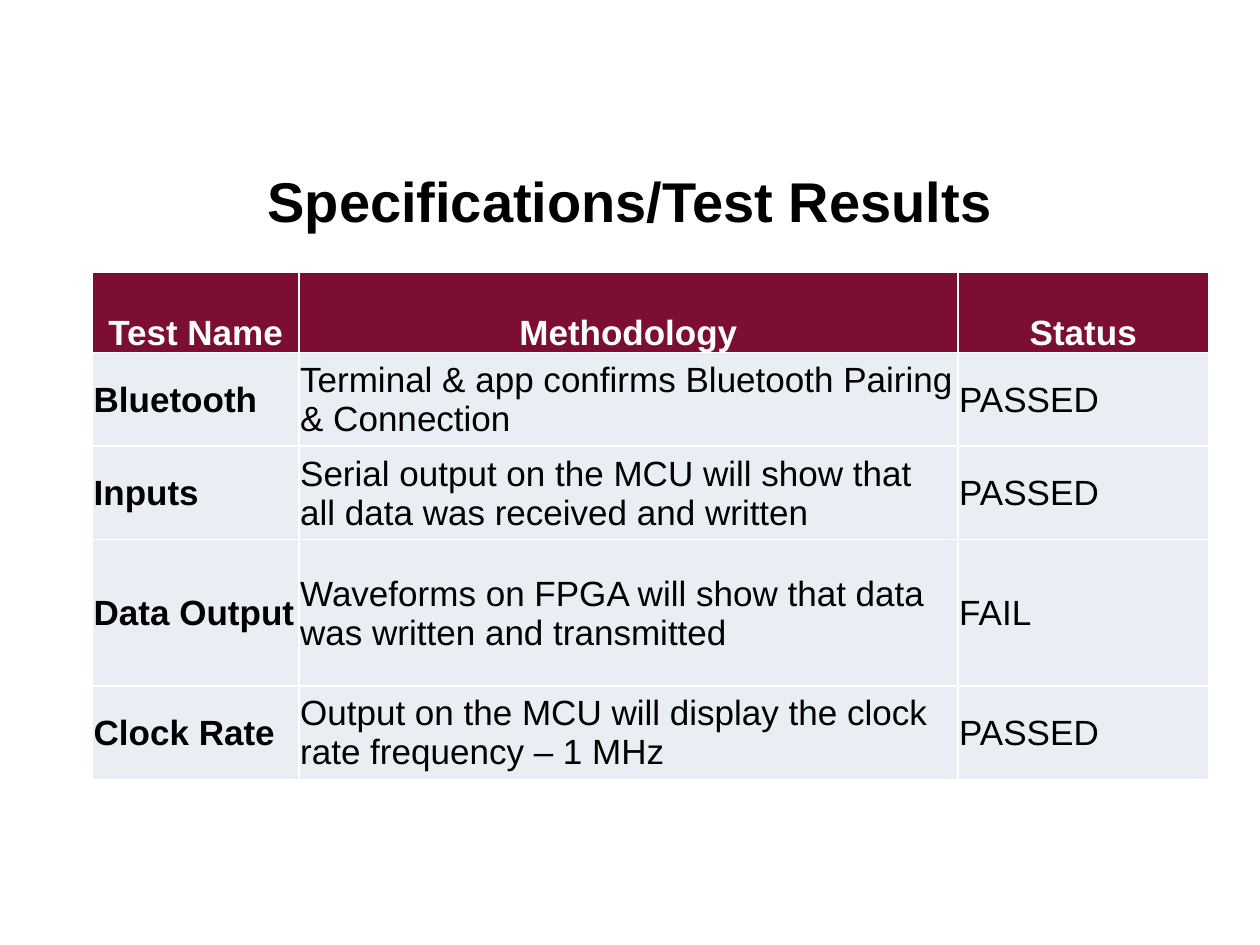
from lxml import etree
from pptx import Presentation
from pptx import util as u
from pptx.dml.color import RGBColor
from pptx.enum import text
from pptx.oxml.ns import qn

HEADERS = ["Test Name", "Methodology", "Status"]
TESTS = [
    ["Bluetooth", "Terminal & app confirms Bluetooth Pairing & Connection", "PASSED"],
    ["Inputs", "Serial output on the MCU will show that all data was received and written", "PASSED"],
    ["Data Output", "Waveforms on FPGA will show that data was written and transmitted", "FAIL"],
    ["Clock Rate", "Output on the MCU will display the clock rate frequency – 1 MHz", "PASSED"],
]
COL_WIDTHS = [118, 376.6, 143.3]
ROW_HEIGHTS = [46, 53.4, 53.4, 83.6, 53.4]
MAROON, PALE, BLACK, WHITE = "7C0F31", "E9EDF4", "000000", "FFFFFF"


def rgb(value):
    """Return the colour for a hex string."""
    return RGBColor.from_string(value)


def apply(obj, values):
    """Set each attribute of obj from a dict."""
    for name, value in values.items():
        setattr(obj, name, value)


def write(tf, content, size, color, bold, align):
    """Put one formatted paragraph in a text frame."""
    p = tf.paragraphs[0]
    p.alignment = align
    r = p.add_run()
    r.text = content
    apply(r.font, {"name": "Arial", "size": u.Pt(size), "bold": bold})
    r.font.color.rgb = rgb(color)


def add_title(s, content):
    """Fill and place the title placeholder."""
    sp = s.shapes.title
    apply(sp, {"left": u.Pt(36), "top": u.Pt(82.8), "width": u.Pt(648), "height": u.Pt(63.4)})
    sp.text_frame.vertical_anchor = text.MSO_ANCHOR.MIDDLE
    write(sp.text_frame, content, 32, BLACK, True, text.PP_ALIGN.CENTER)


def set_borders(cell, color, width):
    """Draw a solid line on all four sides of a cell."""
    tcPr = cell._tc.get_or_add_tcPr()
    for i, side in enumerate(("a:lnL", "a:lnR", "a:lnT", "a:lnB")):
        ln = etree.Element(qn(side), w=str(u.Pt(width)))
        fill = etree.SubElement(ln, qn("a:solidFill"))
        etree.SubElement(fill, qn("a:srgbClr"), val=color)
        tcPr.insert(i, ln)


def format_cell(cell, content, header, bold):
    """Fill, border and write one table cell."""
    anchor = text.MSO_ANCHOR.BOTTOM if header else text.MSO_ANCHOR.MIDDLE
    align = text.PP_ALIGN.CENTER if header else text.PP_ALIGN.LEFT
    apply(cell, {"margin_left": u.Pt(0.75), "margin_right": u.Pt(0.75), "margin_top": u.Pt(0.75),
                 "margin_bottom": 0, "vertical_anchor": anchor})
    cell.fill.solid()
    cell.fill.fore_color.rgb = rgb(MAROON if header else PALE)
    set_borders(cell, WHITE, 1)
    write(cell.text_frame, content, 20, WHITE if header else BLACK, bold, align)


def add_results(s, rows):
    """Add the table of test results."""
    table = s.shapes.add_table(len(rows), len(COL_WIDTHS), u.Pt(52.8), u.Pt(155.6),
                               u.Pt(sum(COL_WIDTHS)), u.Pt(sum(ROW_HEIGHTS))).table
    for col, width in zip(table.columns, COL_WIDTHS):
        col.width = u.Pt(width)
    for i, (row, height) in enumerate(zip(table.rows, ROW_HEIGHTS)):
        row.height = u.Pt(height)
        for j, content in enumerate(rows[i]):
            format_cell(table.cell(i, j), content, i == 0, i == 0 or j == 0)


def main():
    """Build and save the slide."""
    prs = Presentation()
    apply(prs, {"slide_width": u.Pt(720), "slide_height": u.Pt(540)})
    s = prs.slides.add_slide(prs.slide_layouts[5])
    add_title(s, "Specifications/Test Results")
    add_results(s, [HEADERS] + TESTS)
    prs.save("out.pptx")


if __name__ == "__main__":
    main()
